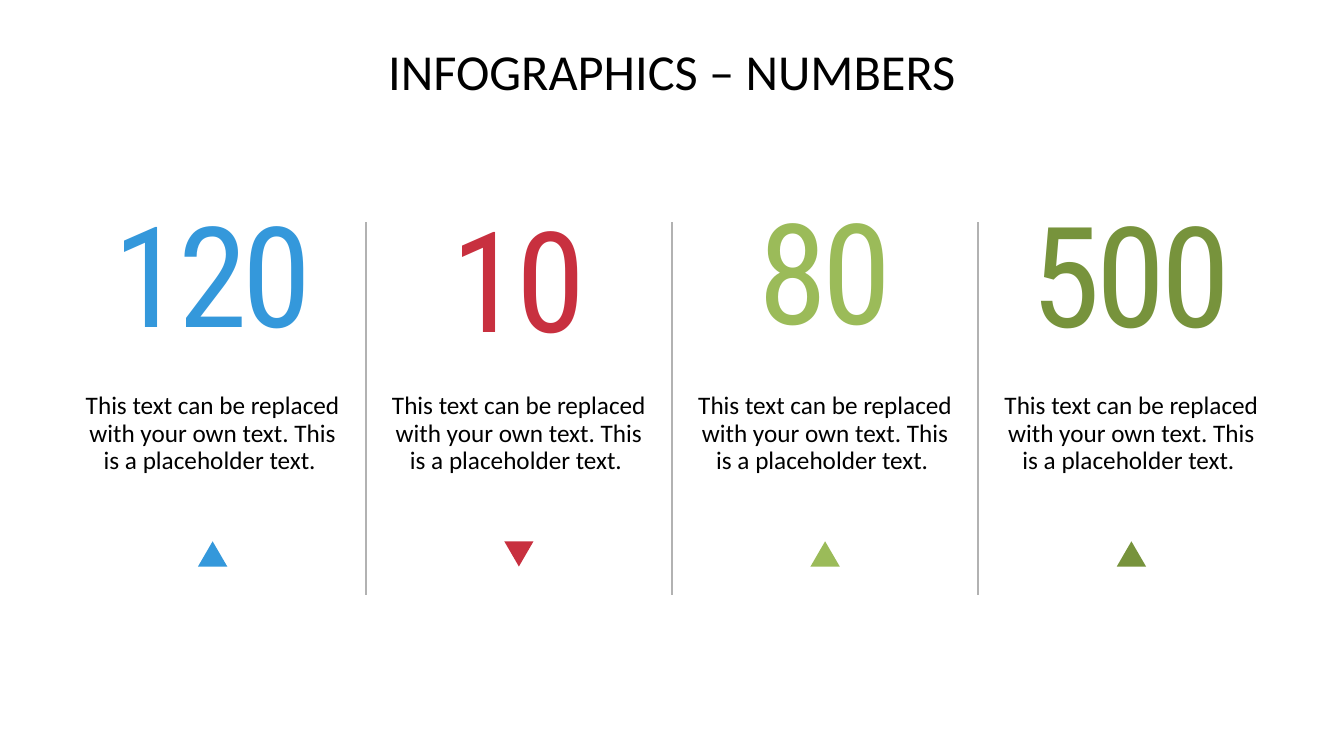
from lxml import etree
from pptx import Presentation
from pptx.dml.color import RGBColor
from pptx.enum.shapes import MSO_CONNECTOR, MSO_SHAPE
from pptx.enum.text import MSO_ANCHOR, PP_ALIGN
from pptx.oxml.ns import qn
from pptx.util import Inches, Pt

BLACK = RGBColor(0x00, 0x00, 0x00)
GRAY = RGBColor(0xB2, 0xB2, 0xB2)
BLUE = RGBColor(0x34, 0x98, 0xDB)
RED = RGBColor(0xC8, 0x30, 0x3F)
LIME = RGBColor(0x9B, 0xBB, 0x59)
OLIVE = RGBColor(0x77, 0x93, 0x3C)
TOP, MIDDLE = MSO_ANCHOR.TOP, MSO_ANCHOR.MIDDLE
CENTER = PP_ALIGN.CENTER
TRIANGLE = MSO_SHAPE.ISOSCELES_TRIANGLE
STRAIGHT = MSO_CONNECTOR.STRAIGHT

TITLE = "INFOGRAPHICS – NUMBERS"
CAPTION = "This text can be replaced with your own text. This is a placeholder text. "
NUMBERS = [
    ("120", BLUE, 0, 2.07, 0.8),
    ("10", RED, 180, 2.07, 0.9),
    ("80", LIME, 0, 2.04, 0.8),
    ("500", OLIVE, 0, 2.07, 0.8),
]

WIDTH, HEIGHT = 13.33, 7.5
MARGIN = 0.59
CONTENT_W = WIDTH - 2 * MARGIN
COLUMN_W = CONTENT_W / len(NUMBERS)
NUMBER_H = 1.64
CAPTION_TOP, CAPTION_H = 3.37, 1.91
MARK_TOP, MARK_W, MARK_H = 5.37, 0.29, 0.25
RULE_TOP, RULE_BOTTOM = 2.2, 5.9


def add_text(slide, box, text, font, size, color, spacing, insets=(0, 0, 0, 0),
             anchor=MIDDLE, after=10, wrap=True):
    tf = slide.shapes.add_textbox(*map(Inches, box)).text_frame
    tf.word_wrap = wrap
    tf.vertical_anchor = anchor
    (tf.margin_left, tf.margin_top,
     tf.margin_right, tf.margin_bottom) = map(Inches, insets)
    p = tf.paragraphs[0]
    p.alignment = CENTER
    p.line_spacing = spacing
    p.space_after = Pt(after)
    r = p.add_run()
    r.text = text
    r.font.name = font
    r.font.size = Pt(size)
    r.font.color.rgb = color
    return r


def add_mark(slide, center, color, rotation):
    sp = slide.shapes.add_shape(TRIANGLE, Inches(center - MARK_W / 2),
                                Inches(MARK_TOP), Inches(MARK_W), Inches(MARK_H))
    sp.shadow.inherit = False
    sp.fill.solid()
    sp.fill.fore_color.rgb = color
    sp.line.fill.background()
    sp.rotation = rotation


def add_rule(slide, x):
    line = slide.shapes.add_connector(STRAIGHT, Inches(x), Inches(RULE_BOTTOM),
                                      Inches(x), Inches(RULE_TOP))
    line.line.color.rgb = GRAY
    line.line.width = Pt(1.5)
    etree.SubElement(line._element.spPr, qn("a:effectLst"))


def main():
    prs = Presentation()
    prs.slide_width, prs.slide_height = Inches(WIDTH), Inches(HEIGHT)
    slide = prs.slides.add_slide(prs.slide_layouts[6])
    add_text(slide, (MARGIN, 0.47, CONTENT_W, 1.18), TITLE, "Calibri", 36, BLACK,
             0.9, anchor=TOP, after=0)
    for i, (number, color, rotation, top, spacing) in enumerate(NUMBERS):
        left = MARGIN + i * COLUMN_W
        r = add_text(slide, (left, top, COLUMN_W, NUMBER_H), number,
                     "Roboto Condensed", 100, color, spacing,
                     (0.08, 0.08, 0.08, 0.16), wrap=False)
        r.font._element.set("spc", "-300")
        add_text(slide, (left, CAPTION_TOP, COLUMN_W, CAPTION_H), CAPTION,
                 "Calibri", 18, BLACK, 0.9, (0.2, 0.04, 0.2, 0.08))
        add_mark(slide, left + COLUMN_W / 2, color, rotation)
        if i:
            add_rule(slide, left)
    prs.save("out.pptx")


if __name__ == "__main__":
    main()
